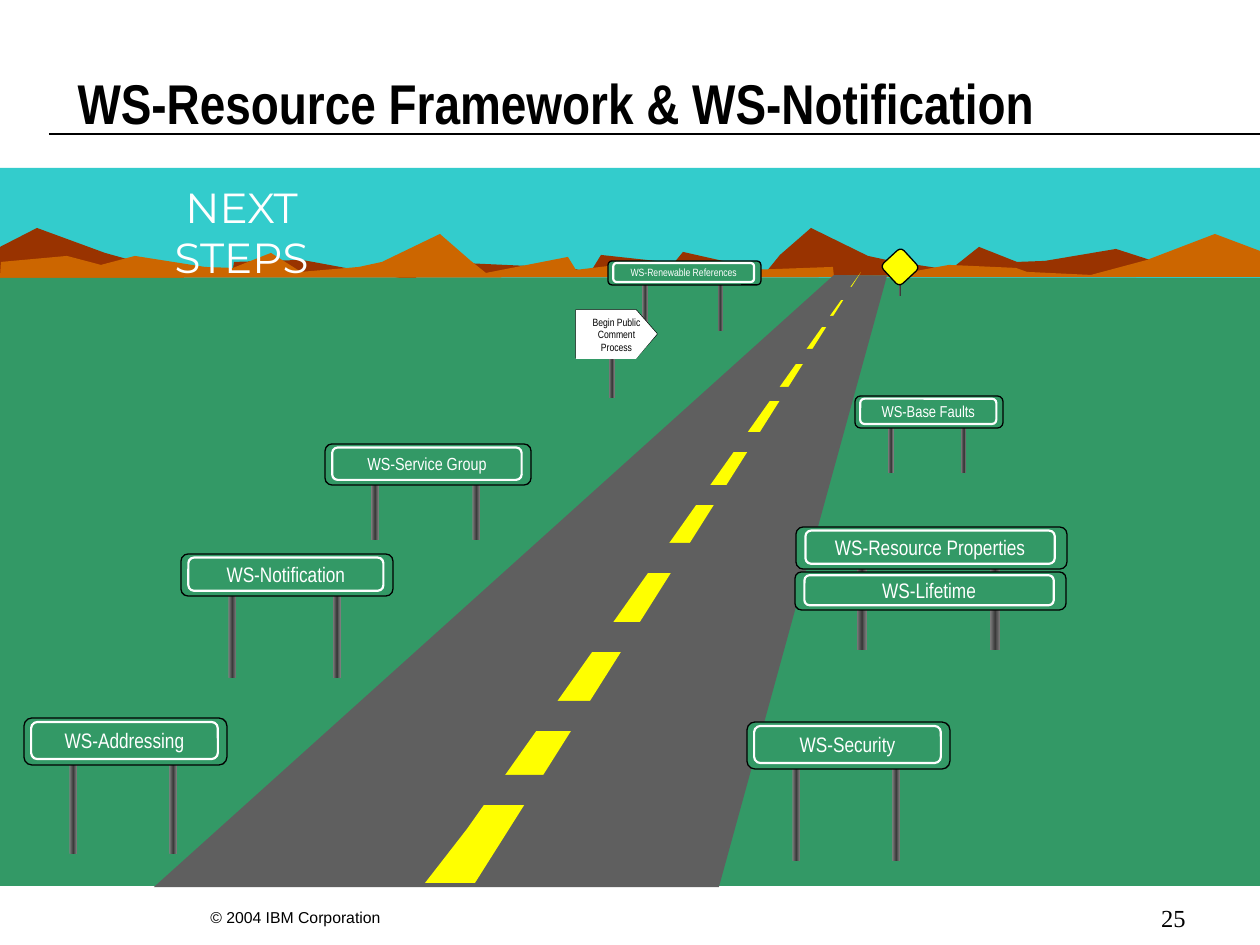
import copy

import pptx
import pptx.dml.color
import pptx.enum.shapes
import pptx.enum.text
import pptx.oxml.ns
import pptx.util

RGB = pptx.dml.color.RGBColor
SHAPE = pptx.enum.shapes.MSO_SHAPE
ALIGN = pptx.enum.text.PP_ALIGN
ANCHOR = pptx.enum.text.MSO_ANCHOR

EMU_PER_PX = 914400 / 126
BLACK, WHITE = RGB(0, 0, 0), RGB(255, 255, 255)
SKY, GROUND = RGB(0x33, 0xCC, 0xCC), RGB(0x33, 0x99, 0x66)
FAR_HILLS, NEAR_HILLS = RGB(0x99, 0x33, 0), RGB(0xCC, 0x66, 0)
ASPHALT, YELLOW = RGB(0x5F, 0x5F, 0x5F), RGB(0xFF, 0xFF, 0)
POST_EDGE, POST_MIDDLE = RGB(0x80, 0x80, 0x80), RGB(0x3B, 0x3B, 0x3B)

TITLE = "WS-Resource Framework & WS-Notification"
FAR_RIDGE = [
    (1249, 271), (1183, 249), (1150, 260), (1116, 249), (1045, 261), (1017, 262),
    (979, 247), (950, 270), (891, 261), (868, 256), (811, 228), (780, 255),
    (767, 271), (683, 252), (674, 263), (601, 255), (590, 273), (552, 263),
    (527, 266), (417, 261), (416, 281), (302, 260), (234, 262), (232, 275),
    (159, 268), (105, 253), (37, 228), (0, 247), (0, 273), (1255, 277)]
NEAR_RIDGE = [
    (1, 262), (67, 256), (101, 265), (135, 256), (205, 267), (233, 268),
    (271, 253), (301, 272), (359, 267), (382, 262), (440, 234), (471, 261),
    (486, 273), (568, 257), (576, 270), (650, 261), (660, 278), (698, 270),
    (723, 271), (833, 267), (835, 286), (949, 265), (1016, 268), (1027, 272),
    (1091, 275), (1147, 260), (1215, 234), (1260, 251), (1260, 277), (0, 278)]
ROAD = [(719, 887), (887, 276), (834, 275), (154, 887)]
CENTRE_STRIPE = [(475, 883), (861, 272), (467, 829), (425, 883)]
STRIPE_GAPS = [
    (461, 775, 93, 30), (513, 701, 93, 30), (568, 622, 93, 30), (625, 543, 93, 30),
    (667, 485, 93, 20), (699, 432, 93, 20), (732, 387, 93, 14), (756, 349, 93, 15),
    (794, 316, 69, 11), (827, 287, 44, 13)]
# label, text size, board (left, top, width, height), foot of the posts
SIGNS = [
    ("WS-Security", 12, (747, 722, 203, 47), 861),
    ("WS-Addressing", 12, (24, 718, 203, 47), 854),
    ("WS-Base Faults", 9, (855, 396, 148, 32), 473),
    ("WS-Notification", 12, (181, 554, 212, 42), 678),
    ("WS-Renewable References", 6, (608, 261, 153, 24), 331),
    ("WS-Resource Properties", 12, (796, 527, 271, 42), 650),
    ("WS-Lifetime", 12, (795, 572, 271, 38), None),
    ("WS-Service Group", 10, (325, 444, 206, 41), 540),
]
COMMENT_POST = (609, 333, 6, 65)
COMMENT_ARROW = [(576, 310), (636, 310), (657, 334), (636, 358), (576, 358)]
COMMENT_LINES = ["Begin Public", "Comment", "Process"]
WARNING_POST = (899, 266, 2, 30)
WARNING_BOARD = (886, 253, 28, 28)


def px(value):
    return round(value * EMU_PER_PX)


def paint(shape, fill, line, width):
    shape.shadow.inherit = False
    if fill is None:
        shape.fill.background()
    else:
        shape.fill.solid()
        shape.fill.fore_color.rgb = fill
    if line is None:
        shape.line.fill.background()
    else:
        shape.line.color.rgb = line
        shape.line.width = pptx.util.Pt(width)
    return shape


def add_preset(kind, box, fill=None, line=None, width=0.75, corner=None):
    shape = slide.shapes.add_shape(kind, *map(px, box))
    if corner is not None:
        shape.adjustments[0] = corner
    return paint(shape, fill, line, width)


def add_outline(points, fill, line=None):
    builder = slide.shapes.build_freeform(*points[0], scale=EMU_PER_PX)
    builder.add_line_segments(points[1:], close=True)
    return paint(builder.convert_to_shape(), fill, line, 0.75)


def add_post(box):
    post = add_preset(SHAPE.CAN, box, POST_EDGE, corner=0.08)
    post.fill.gradient()
    post.fill.gradient_angle = 0
    stop_list = post.fill._fill._gradFill.find(pptx.oxml.ns.qn("a:gsLst"))
    stop_list.insert(1, copy.deepcopy(stop_list[0]))
    colours = (POST_EDGE, POST_MIDDLE, POST_EDGE)
    for stop, place, colour in zip(post.fill.gradient_stops, (0, 0.5, 1), colours):
        stop.position = place
        stop.color.rgb = colour


def write(shape, lines, font, align=ALIGN.CENTER, anchor=ANCHOR.MIDDLE, wrap=False):
    frame = shape.text_frame
    layout = {"word_wrap": wrap, "vertical_anchor": anchor,
              "auto_size": pptx.enum.text.MSO_AUTO_SIZE.NONE}
    for name, value in layout.items():
        setattr(frame, name, value)
    frame.text = "\n".join(lines)
    face, size, colour, bold = font
    for paragraph in frame.paragraphs:
        paragraph.alignment = align
        paragraph.font.color.rgb = colour
        for name, value in {"name": face, "size": pptx.util.Pt(size), "bold": bold}.items():
            setattr(paragraph.font, name, value)


def add_label(box, text, font, **layout):
    write(slide.shapes.add_textbox(*map(px, box)), [text], font, **layout)


def add_sign(label, size, board, foot):
    left, top, width, height = board
    if foot:
        post_top = top + 0.62 * height
        for share in (0.224, 0.716):
            add_post((left + share * width, post_top, 0.038 * width, foot - post_top))
    add_preset(SHAPE.ROUNDED_RECTANGLE, board, GROUND, BLACK, corner=0.17)
    panel = (left + 0.035 * width, top + 0.085 * height, 0.92 * width, 0.79 * height)
    border = add_preset(SHAPE.ROUNDED_RECTANGLE, panel, None, WHITE, 1.25, 0.17)
    write(border, [label], ("Arial Narrow", size, WHITE, False))


deck = pptx.Presentation()
deck.slide_width, deck.slide_height = px(1260), px(945)
slide = deck.slides.add_slide(deck.slide_layouts[5])

title = slide.shapes.title
title.left, title.top, title.width, title.height = map(px, (-59, 62, 1231, 81))
write(title, [TITLE], ("Arial Narrow", 32, BLACK, True), anchor=ANCHOR.TOP)

rule = slide.shapes.add_connector(
    pptx.enum.shapes.MSO_CONNECTOR.STRAIGHT, *map(px, (49, 134, 1260, 134)))
rule.line.color.rgb = BLACK
rule.line.width = pptx.util.Pt(0.75)
rule._element.spPr.append(pptx.oxml.parse_xml(
    '<a:effectLst xmlns:a="http://schemas.openxmlformats.org/drawingml/2006/main"/>'))

add_preset(SHAPE.RECTANGLE, (0, 168, 1260, 114), SKY)
add_outline(FAR_RIDGE, FAR_HILLS)
add_outline(NEAR_RIDGE, NEAR_HILLS)
add_label((113, 175, 257, 63), "NEXT STEPS", ("Montserrat", 24, WHITE, False),
          anchor=ANCHOR.TOP, wrap=True)
add_preset(SHAPE.RECTANGLE, (0, 278, 1260, 608), GROUND)
add_outline(ROAD, ASPHALT)
add_outline(CENTRE_STRIPE, YELLOW)
for gap in STRIPE_GAPS:
    add_preset(SHAPE.RECTANGLE, gap, ASPHALT)

for sign in SIGNS:
    add_sign(*sign)

add_post(COMMENT_POST)
add_outline(COMMENT_ARROW, WHITE, BLACK)
comment_face = add_outline([(x, y + (y > 340)) for x, y in COMMENT_ARROW], WHITE)
write(comment_face, COMMENT_LINES, ("Arial Narrow", 6, BLACK, False))

add_post(WARNING_POST)
warning = add_preset(SHAPE.ROUNDED_RECTANGLE, WARNING_BOARD, YELLOW, BLACK, corner=0.17)
warning.rotation = 47.2

add_label((198, 901, 213, 32), "© 2004 IBM Corporation", ("Arial", 9, BLACK, False),
          align=ALIGN.LEFT)
add_label((1079, 903, 119, 30), "25", ("Times New Roman", 14, BLACK, False),
          align=ALIGN.RIGHT, wrap=True)

deck.save("out.pptx")
